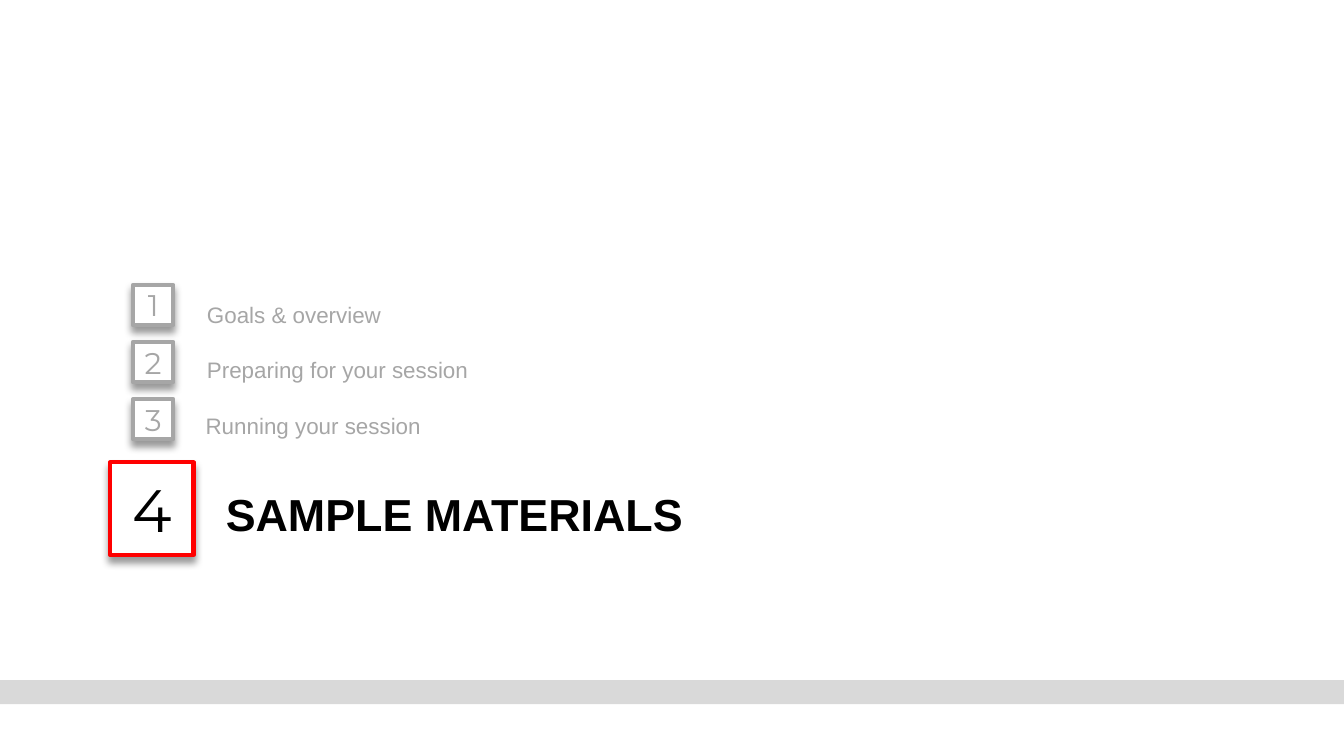
"""Build the agenda divider slide that introduces the sample materials section."""
import dataclasses

import lxml.etree
import pptx
import pptx.dml.color
import pptx.enum.shapes
import pptx.enum.text
import pptx.oxml.ns
import pptx.util

Inches = pptx.util.Inches
Color = pptx.dml.color.RGBColor.from_string
Align = pptx.enum.text.PP_ALIGN
Anchor = pptx.enum.text.MSO_ANCHOR
RECTANGLE = pptx.enum.shapes.MSO_SHAPE.RECTANGLE


@dataclasses.dataclass(frozen=True)
class Theme:
    white: str = "FFFFFF"
    black: str = "000000"
    muted: str = "A6A6A6"
    accent: str = "FF0000"
    band: str = "D9D9D9"
    text_font: str = "Arial"
    number_font: str = "Montserrat"
    label_size: int = 12
    number_size: int = 16
    title_size: int = 24
    current_size: int = 32
    border: float = 2.25


theme = Theme()


def write_text(box, text, font, size, color, anchor, align=Align.LEFT, bold=False):
    """Fill a shape with one line of text without insets."""
    frame = box.text_frame
    frame.word_wrap = True
    frame.vertical_anchor = anchor
    frame.margin_left = frame.margin_right = frame.margin_top = frame.margin_bottom = 0
    para = frame.paragraphs[0]
    para.alignment = align
    span = para.add_run()
    span.text = text
    span.font.name = font
    span.font.size = pptx.util.Pt(size)
    span.font.bold = bold
    span.font.color.rgb = Color(color)


def add_badge(left, top, width, height, number, size, border_color, text_color):
    """Add a bordered number box with a soft shadow below it."""
    badge = page.shapes.add_shape(RECTANGLE, Inches(left), Inches(top), Inches(width), Inches(height))
    badge.fill.solid()
    badge.fill.fore_color.rgb = Color(theme.white)
    badge.line.color.rgb = Color(border_color)
    badge.line.width = pptx.util.Pt(theme.border)
    badge.shadow.inherit = False
    effects = badge.element.spPr.find(pptx.oxml.ns.qn("a:effectLst"))
    shadow = lxml.etree.SubElement(
        effects, pptx.oxml.ns.qn("a:outerShdw"),
        blurRad=str(pptx.util.Pt(4)), dist=str(pptx.util.Pt(3)), dir="5400000", rotWithShape="0")
    shade = lxml.etree.SubElement(shadow, pptx.oxml.ns.qn("a:srgbClr"), val=theme.black)
    lxml.etree.SubElement(shade, pptx.oxml.ns.qn("a:alpha"), val="40000")
    write_text(badge, number, theme.number_font, size, text_color, Anchor.MIDDLE, Align.CENTER)


deck = pptx.Presentation()
deck.slide_width = Inches(10)
deck.slide_height = Inches(10) * 9 // 16
page = deck.slides.add_slide(deck.slide_layouts[6])

band = page.shapes.add_shape(RECTANGLE, 0, Inches(5.06), deck.slide_width, Inches(0.18))
band.shadow.inherit = False
band.fill.solid()
band.fill.fore_color.rgb = Color(theme.band)
band.line.fill.background()

sections = [
    ("Goals & overview", 1.54, 2.05, 4.3, 0.39),
    ("Preparing for your session", 1.54, 2.41, 2.06, 0.44),
    ("Running your session", 1.53, 2.83, 1.71, 0.44),
]
for index, (name, left, top, width, height) in enumerate(sections):
    add_badge(0.99, 2.12 + 0.85 * index / 2, 0.3, 0.3, str(index + 1),
              theme.number_size, theme.muted, theme.muted)
    label = page.shapes.add_textbox(Inches(left), Inches(top), Inches(width), Inches(height))
    write_text(label, name, theme.text_font, theme.label_size, theme.muted, Anchor.BOTTOM)

add_badge(0.82, 3.44, 0.62, 0.69, "4", theme.current_size, theme.accent, theme.black)
title = page.shapes.add_textbox(Inches(1.68), Inches(3.62), Inches(7.61), Inches(1.12))
write_text(title, "SAMPLE MATERIALS", theme.text_font, theme.title_size, theme.black, Anchor.TOP, bold=True)

deck.save("out.pptx")
